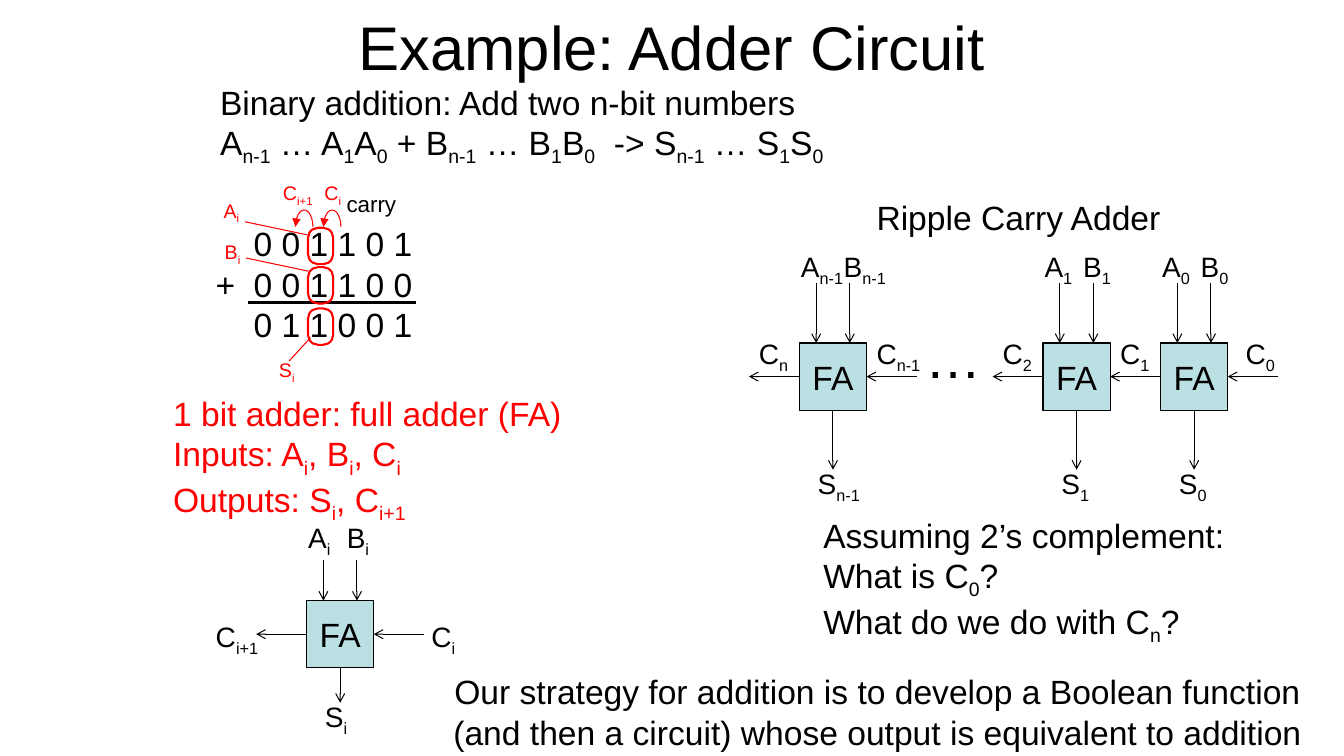
from dataclasses import dataclass

from pptx import Presentation
from pptx.dml.color import RGBColor
from pptx.enum import shapes, text
from pptx.oxml import ns, xmlchemy
from pptx.util import Pt


@dataclass(frozen=True)
class Theme:
    font: str = "Arial"
    ink: RGBColor = RGBColor(0, 0, 0)
    accent: RGBColor = RGBColor(255, 0, 0)
    cell: RGBColor = RGBColor(0xBB, 0xE0, 0xE3)
    title: int = 44
    dots: int = 40
    body: int = 24
    signal: int = 20
    note: int = 16
    small: int = 14
    thin: float = 0.75
    ring: float = 1.5
    rule: float = 2.25


@dataclass(frozen=True)
class Box:
    left: float
    top: float
    width: float = 0
    height: float = 0

    def lengths(self):
        return [Pt(v) for v in (self.left, self.top, self.width, self.height)]

    def inner(self, x, y, width=0, height=0):
        """Box whose corner is offset from this box's corner."""
        return Box(self.left + x, self.top + y, width, height)


@dataclass(frozen=True)
class CellLayout:
    """Wire lengths and label offsets around one full adder."""
    wire_in: float
    wire_out: float
    input_rise: float
    carry_drop: float
    carry_out: float
    carry_in: float


THEME = Theme()
CELL = 48
WIRE = 36
RIPPLE = CellLayout(42.5, 42.5, 28, -8, -36, 48)
SINGLE = CellLayout(29, 25, 32, 10, -72, 82)
LABEL_FACTORS = {"i": 0.88, "n-1": 1.68, "i+1": 1.68}


def write(frame, lines, size, color=THEME.ink, align=text.PP_ALIGN.LEFT):
    """Fill a text frame; characters in [brackets] become subscripts."""
    for index, line in enumerate(lines):
        para = frame.paragraphs[0] if index == 0 else frame.add_paragraph()
        para.alignment = align
        para.space_before = Pt(0)
        para.font.name = THEME.font
        para.font.size = Pt(size)
        para.font.color.rgb = color
        for place, part in enumerate(line.replace("]", "[").split("[")):
            if part:
                span = para.add_run()
                span.text = part
                if place % 2:
                    span._r.get_or_add_rPr().set("baseline", "-25000")


def add_text(page, box, lines, size, color=THEME.ink, wrap=False, align=text.PP_ALIGN.LEFT):
    frame = page.shapes.add_textbox(*box.lengths()).text_frame
    frame.word_wrap = wrap
    write(frame, lines, size, color, align)


def add_label(page, corner, name, size=THEME.signal, color=THEME.ink):
    """Signal name in a box just wide enough for its subscript."""
    subscript = name[2:-1]
    width = 14.4 + size * LABEL_FACTORS.get(subscript, 1.13)
    add_text(page, corner.inner(0, 0, width, size * 1.2 + 7.2), [name], size, color)


def add_arrowhead(shape, end, kind):
    head = xmlchemy.OxmlElement(f"a:{end}")
    head.set("type", kind)
    shape.line._get_or_add_ln().append(head)


def add_line(page, start, end, color=THEME.ink, width=THEME.thin, arrow=False):
    ends = [Pt(v) for v in (start.left, start.top, end.left, end.top)]
    line = page.shapes.add_connector(shapes.MSO_CONNECTOR.STRAIGHT, *ends)
    line.line.color.rgb = color
    line.line.width = Pt(width)
    if arrow:
        add_arrowhead(line, "tailEnd", "arrow")
    line._element.find(ns.qn("p:spPr")).append(xmlchemy.OxmlElement("a:effectLst"))


def add_outline(page, kind, box, color, width, fill=None):
    shape = page.shapes.add_shape(kind, *box.lengths())
    shape.shadow.inherit = False
    if fill is None:
        shape.fill.background()
    else:
        shape.fill.solid()
        shape.fill.fore_color.rgb = fill
    shape.line.color.rgb = color
    shape.line.width = Pt(width)
    return shape


def fill_placeholder(holder, box, lines, size, align):
    holder.left, holder.top, holder.width, holder.height = box.lengths()
    holder.text_frame.auto_size = text.MSO_AUTO_SIZE.NONE
    write(holder.text_frame, lines, size, align=align)


def heading(page, title_box, body_box):
    title, body = page.placeholders
    fill_placeholder(title, title_box, ["Example: Adder Circuit"], THEME.title, text.PP_ALIGN.CENTER)
    title.text_frame.vertical_anchor = text.MSO_ANCHOR.MIDDLE
    fill_placeholder(body, body_box, [
        "Binary addition: Add two n-bit numbers",
        "A[n-1] … A[1]A[0] + B[n-1] … B[1]B[0]  -> S[n-1] … S[1]S[0]",
    ], THEME.body, text.PP_ALIGN.LEFT)
    for para in body.text_frame.paragraphs:
        props = para._p.get_or_add_pPr()
        props.set("marL", "0")
        props.set("indent", "0")
        props.find(ns.qn("a:defRPr")).addprevious(xmlchemy.OxmlElement("a:buNone"))


def worked_sum(page, box):
    """Binary sum with bit i ringed and its carries marked."""
    add_text(page, box.inner(28, 30, 129, 94),
             ["0 0 1 1 0 1", "0 0 1 1 0 0", "0 1 1 0 0 1"], THEME.body)
    add_text(page, box.inner(1, 59, 29, 36), ["+"], THEME.body)
    add_line(page, box.inner(151, 90), box.inner(31, 90), width=THEME.rule)
    add_text(page, box.inner(94.5, 6, 50, 27), ["carry"], THEME.note)
    for x in (85, 65):
        arc = add_outline(page, shapes.MSO_SHAPE.ARC, box.inner(x, 24, 12.5, 24),
                          THEME.accent, THEME.thin)
        arc.adjustments[0], arc.adjustments[1] = 108, 0
        add_arrowhead(arc, "headEnd", "triangle")
    for y in (36.7, 64.8, 94.3):
        ring = add_outline(page, shapes.MSO_SHAPE.ROUNDED_RECTANGLE, box.inner(74, y, 18, 26),
                           THEME.accent, THEME.ring)
        ring.adjustments[0] = 0.4
    for name, x, y in (("C[i]", 78.6, 0), ("C[i+1]", 49, 0), ("A[i]", 6.6, 12.2),
                       ("B[i]", 7.4, 41.8), ("S[i]", 46.2, 126)):
        add_label(page, box.inner(x, y), name, THEME.small, THEME.accent)
    for start, end in (((73.6, 41.8), (29, 32.4)), ((74.3, 67.7), (29.7, 58.3)),
                       ((75.8, 115.2), (60.6, 131.8))):
        add_line(page, box.inner(*start), box.inner(*end), THEME.accent)


def full_adder(page, box, layout, bit, carry_out, carry_in=None, carry_shift=0):
    """Adder cell for one bit; a cell without carry_in is fed by its neighbour."""
    cell = add_outline(page, shapes.MSO_SHAPE.RECTANGLE, box, THEME.ink, THEME.thin, THEME.cell)
    cell.text_frame.margin_left = cell.text_frame.margin_right = 0
    cell.text_frame.vertical_anchor = text.MSO_ANCHOR.MIDDLE
    write(cell.text_frame, ["FA"], THEME.body, align=text.PP_ALIGN.CENTER)

    second_label = 24.5 if bit == "n-1" else 21.6
    for letter, wire_x, label_x in (("A", CELL / 4, -6), ("B", CELL * 3 / 4, second_label)):
        add_line(page, box.inner(wire_x, -layout.wire_in), box.inner(wire_x, 0), arrow=True)
        add_label(page, box.inner(label_x, -layout.wire_in - layout.input_rise), f"{letter}[{bit}]")

    bottom = CELL + layout.wire_out
    add_line(page, box.inner(CELL / 2, CELL), box.inner(CELL / 2, bottom), arrow=True)
    add_label(page, box.inner(6, bottom - 6), f"S[{bit}]")

    add_line(page, box.inner(0, CELL / 2), box.inner(-WIRE, CELL / 2), arrow=True)
    add_label(page, box.inner(layout.carry_out, layout.carry_drop), f"C[{carry_out}]")
    if carry_in:
        add_line(page, box.inner(CELL + WIRE, CELL / 2), box.inner(CELL, CELL / 2), arrow=True)
        add_label(page, box.inner(layout.carry_in + carry_shift, layout.carry_drop), f"C[{carry_in}]")


def ripple_adder(page, box):
    add_text(page, box.inner(84, 0, 220, 36), ["Ripple Carry Adder"], THEME.body)
    for x, bit, carry_out, carry_in, shift in ((36, "n-1", "n", "n-1", 0), (210, "1", "2", None, 0),
                                               (294, "0", "1", "0", 5.6)):
        full_adder(page, box.inner(x, 108, CELL, CELL), RIPPLE, bit, carry_out, carry_in, shift)
    add_text(page, box.inner(119, 90, 55, 55), ["…"], THEME.dots)
    add_text(page, box.inner(46, 227, 304, 94),
             ["Assuming 2’s complement:", "What is C[0]?", "What do we do with C[n]?"],
             THEME.body, wrap=True)


def one_bit_adder(page, box):
    add_text(page, box.inner(0, 0, 294, 94),
             ["1 bit adder: full adder (FA)", "Inputs: A[i], B[i], C[i]", "Outputs: S[i], C[i+1]"],
             THEME.body, THEME.accent, wrap=True)
    full_adder(page, box.inner(102.4, 152, CELL, CELL), SINGLE, "i", "i+1", "i")


def main():
    deck = Presentation()
    deck.slide_width, deck.slide_height = Pt(960), Pt(540)
    page = deck.slides.add_slide(deck.slide_layouts[1])
    heading(page, Box(174, -12, 612, 90), Box(150, 54.7, 664, 65.5))
    worked_sum(page, Box(146, 126))
    ripple_adder(page, Box(535, 137))
    one_bit_adder(page, Box(116.6, 277))
    add_text(page, Box(294.5, 476, 664.5, 65.5),
             ["Our strategy for addition is to develop a Boolean function "
              "(and then a circuit) whose output is equivalent to addition"],
             THEME.body, wrap=True, align=text.PP_ALIGN.CENTER)
    deck.save("out.pptx")


if __name__ == "__main__":
    main()
